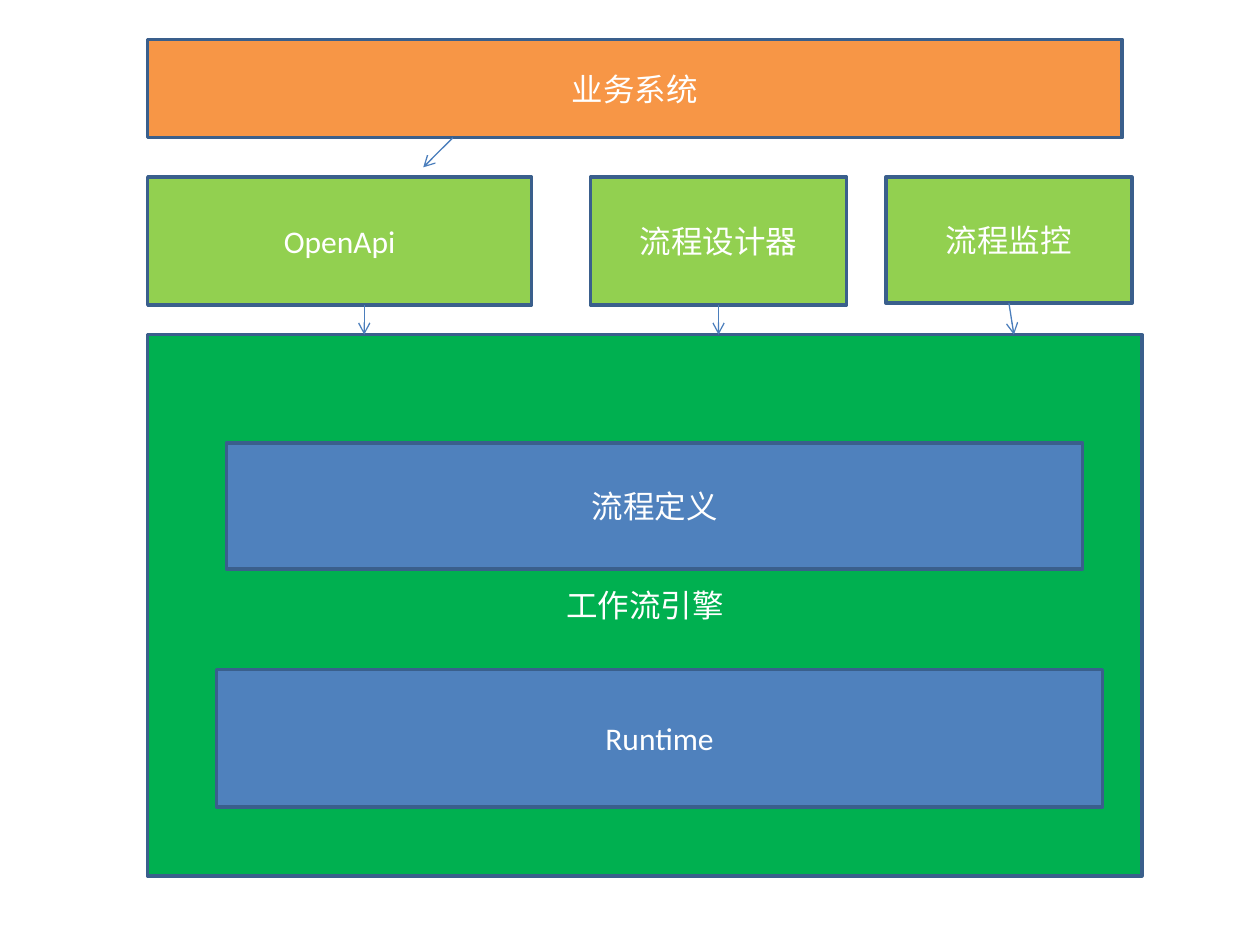
from pptx import Presentation
from pptx.dml.color import RGBColor
from pptx.enum.shapes import MSO_CONNECTOR as Connector, MSO_SHAPE as Shape
from pptx.enum.text import MSO_ANCHOR as Anchor, PP_ALIGN as Align
from pptx.oxml.ns import qn
from pptx.util import Inches, Pt
from lxml.etree import SubElement

ORANGE = RGBColor(0xF7, 0x96, 0x46)
LIME = RGBColor(0x92, 0xD0, 0x50)
GREEN = RGBColor(0x00, 0xB0, 0x50)
BLUE = RGBColor(0x4F, 0x81, 0xBD)
BORDER = RGBColor(0x3A, 0x5F, 0x8C)
ARROW = RGBColor(0x4B, 0x7E, 0xBC)
WHITE = RGBColor(0xFF, 0xFF, 0xFF)

WIDTH, HEIGHT = Inches(10), Inches(7.5)
COLUMNS, ROWS = 128, 96
BOTTOM = 2


def across(columns):
    return round(WIDTH * columns / COLUMNS)


def down(rows):
    return round(HEIGHT * rows / ROWS)


def add_block(page, label, fill, column, row, columns, rows):
    box = page.shapes.add_shape(
        Shape.RECTANGLE, across(column), down(row), across(columns), down(rows))
    box.shadow.inherit = False
    box.fill.solid()
    box.fill.fore_color.rgb = fill
    box.line.color.rgb = BORDER
    box.line.width = Pt(2)
    box.text_frame.text = label
    box.text_frame.word_wrap = True
    box.text_frame.vertical_anchor = Anchor.MIDDLE
    para = box.text_frame.paragraphs[0]
    para.alignment = Align.CENTER
    font = para.runs[0].font
    font.name = "Calibri"
    font.size = Pt(18)
    font.color.rgb = WHITE
    return box


def add_arrow(page, start, end, source=None):
    arrow = page.shapes.add_connector(
        Connector.STRAIGHT, across(start[0]), down(start[1]), across(end[0]), down(end[1]))
    if source is not None:
        arrow.begin_connect(source, BOTTOM)
    arrow.line.color.rgb = ARROW
    arrow.line.width = Pt(0.75)
    SubElement(arrow.line._get_or_add_ln(), qn("a:tailEnd"), type="arrow")
    SubElement(arrow._element.spPr, qn("a:effectLst"))


def main():
    deck = Presentation()
    deck.slide_width, deck.slide_height = WIDTH, HEIGHT
    page = deck.slides.add_slide(deck.slide_layouts[6])

    add_block(page, "工作流引擎", GREEN, 15, 34, 101, 55)
    designer = add_block(page, "流程设计器", LIME, 60, 18, 26, 13)
    monitor = add_block(page, "流程监控", LIME, 90, 18, 25, 12.8)
    add_block(page, "业务系统", ORANGE, 15, 4, 99, 10)
    add_block(page, "OpenApi", LIME, 15, 18, 39, 13)
    add_block(page, "Runtime", BLUE, 22, 68, 90, 14)
    add_block(page, "流程定义", BLUE, 23, 45, 87, 12.8)

    add_arrow(page, (37, 31), (37, 34))
    add_arrow(page, (73, 31), (73, 34), designer)
    add_arrow(page, (102.5, 30.8), (103, 34), monitor)
    add_arrow(page, (46, 14), (43, 17))

    deck.save("out.pptx")


if __name__ == "__main__":
    main()
